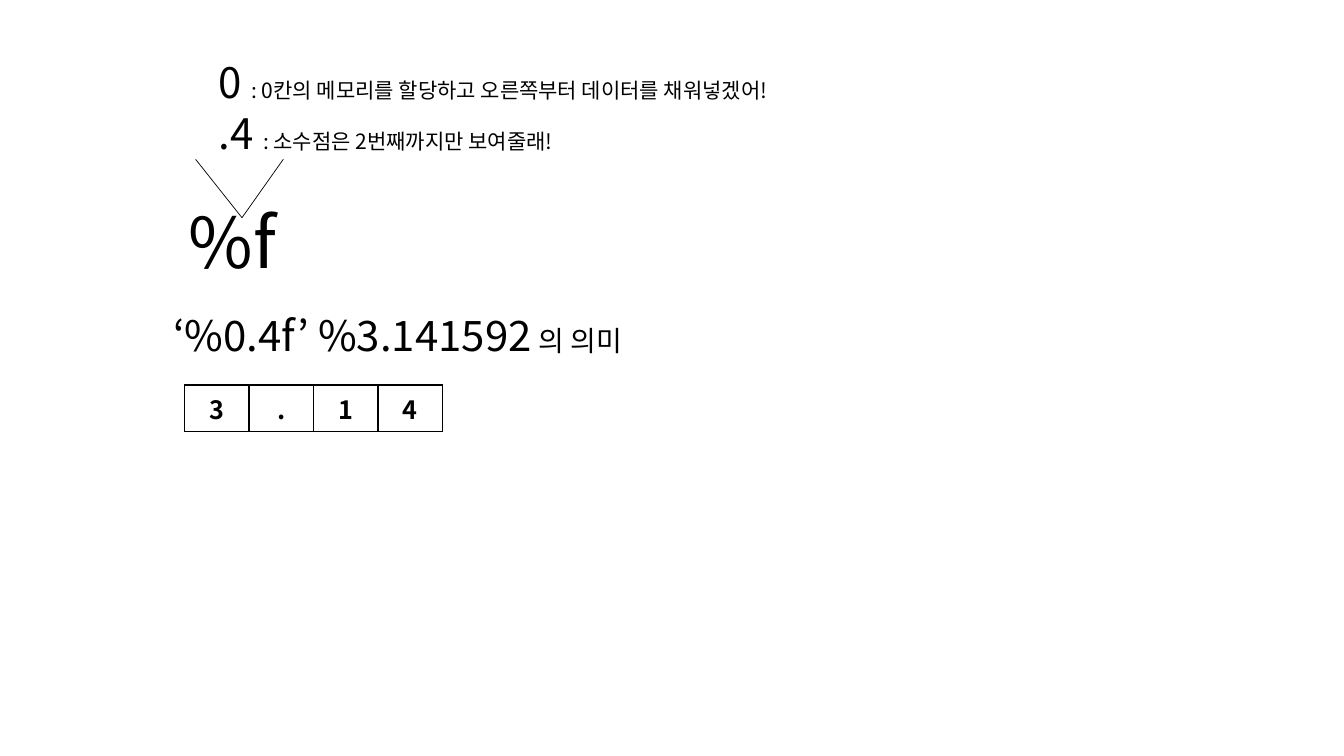
from lxml.etree import SubElement
from pptx import Presentation
from pptx.dml.color import RGBColor
from pptx.enum.shapes import MSO_CONNECTOR
from pptx.enum.text import MSO_ANCHOR, PP_ALIGN
from pptx.oxml.ns import qn
from pptx.util import Inches, Pt

FONT = "Noto Sans CJK KR"
BLACK = RGBColor(0x00, 0x00, 0x00)

# Content: (left, top, width, height), alignment, [(text, size), ...]
LABELS = [
    ((1.62, 2.62, 6.7, 1.41), PP_ALIGN.LEFT,
     [("‘%0.4f’ %3.141592", 30), (" 의 의미", 20)]),
    ((1.2, 1.68, 2.21, 1.41), PP_ALIGN.CENTER, [("%f", 50)]),
    ((2.07, 0.51, 8.52, 0.61), PP_ALIGN.LEFT,
     [("0 ", 30), (": 0칸의 메모리를 할당하고 오른쪽부터 데이터를 채워넣겠어!", 15)]),
    ((2.07, 1.01, 8.52, 0.61), PP_ALIGN.LEFT,
     [(".4 ", 30), (": 소수점은 2번째까지만 보여줄래!", 15)]),
]
DIGITS = ["3", ".", "1", "4"]
CELL_W, CELL_H = 0.64, 0.41
WEDGE_TIP = (2.4, 2.16)
WEDGE_TOPS = [(1.94, 1.58), (2.81, 1.58)]


def add_run(p, text, size, bold=False):
    r = p.add_run()
    r.text = text
    r.font.name = FONT
    r.font.size = Pt(size)
    r.font.bold = bold
    r.font.color.rgb = BLACK
    SubElement(r.font._element, qn("a:ea"), typeface=FONT)


def add_borders(cell):
    tcPr = cell._tc.get_or_add_tcPr()
    for side in ("lnL", "lnR", "lnT", "lnB"):
        ln = SubElement(tcPr, qn("a:" + side), w=str(Pt(1)))
        fill = SubElement(ln, qn("a:solidFill"))
        SubElement(fill, qn("a:srgbClr"), val=str(BLACK))


prs = Presentation()
prs.slide_width, prs.slide_height = Inches(13.33), Inches(7.5)
s = prs.slides.add_slide(prs.slide_layouts[6])

# Memory cells
table = s.shapes.add_table(1, len(DIGITS), Inches(1.83), Inches(3.82),
                           Inches(CELL_W * len(DIGITS)), Inches(CELL_H)).table
table.first_row = table.horz_banding = False
for cell, digit in zip(table.iter_cells(), DIGITS):
    add_borders(cell)
    cell.fill.background()
    cell.vertical_anchor = MSO_ANCHOR.MIDDLE
    p = cell.text_frame.paragraphs[0]
    p.alignment = PP_ALIGN.CENTER
    add_run(p, digit, 18, bold=True)

# Format string and explanations
for box, align, runs in LABELS:
    tf = s.shapes.add_textbox(*map(Inches, box)).text_frame
    tf.word_wrap = True
    tf.vertical_anchor = MSO_ANCHOR.MIDDLE
    p = tf.paragraphs[0]
    p.alignment = align
    for text, size in runs:
        add_run(p, text, size)

# Wedge between % and f
for top in WEDGE_TOPS:
    line = s.shapes.add_connector(MSO_CONNECTOR.STRAIGHT,
                                  *map(Inches, top + WEDGE_TIP))
    line.line.color.rgb = BLACK
    line.line.width = Pt(0.5)
    SubElement(line._element.spPr, qn("a:effectLst"))

prs.save("out.pptx")
